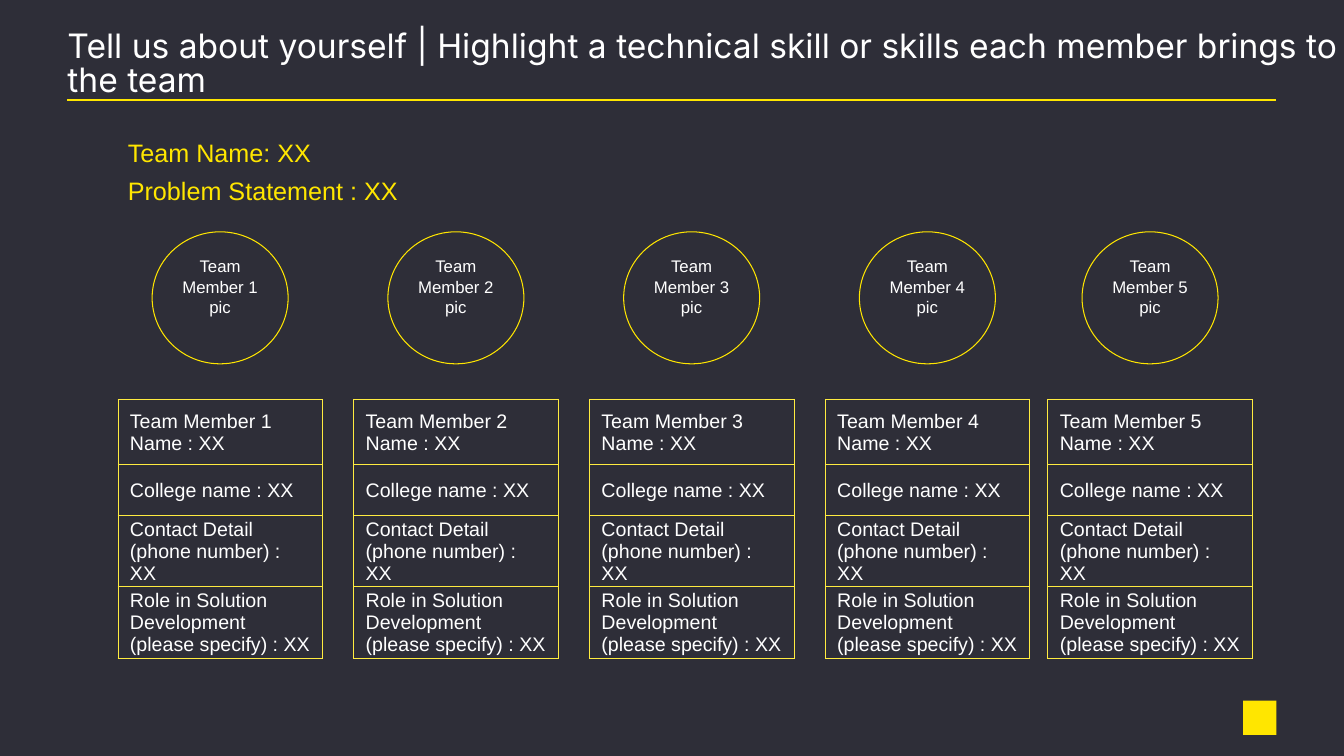
from lxml import etree
from pptx import Presentation
from pptx.dml.color import RGBColor
from pptx.enum.shapes import MSO_CONNECTOR, MSO_SHAPE
from pptx.enum.text import MSO_ANCHOR, PP_ALIGN
from pptx.oxml.ns import qn
from pptx.util import Inches, Pt

LINE = MSO_CONNECTOR.STRAIGHT
ELLIPSE, RECTANGLE = MSO_SHAPE.OVAL, MSO_SHAPE.RECTANGLE
TOP, MIDDLE = MSO_ANCHOR.TOP, MSO_ANCHOR.MIDDLE
LEFT, CENTER = PP_ALIGN.LEFT, PP_ALIGN.CENTER

DARK = RGBColor(0x2E, 0x2E, 0x38)
YELLOW = RGBColor(0xFF, 0xE6, 0x00)
GRID_YELLOW = RGBColor(0xFF, 0xEC, 0x40)
WHITE = RGBColor(0xFF, 0xFF, 0xFF)

COLUMN_LEFTS = [1.17, 3.51, 5.85, 8.19, 10.4]
ROW_HEIGHTS = [0.65, 0.5, 0.71, 0.71]
TABLE_WIDTH = 2.03
CIRCLE_WIDTH, CIRCLE_HEIGHT = 1.35, 1.31


def write(frame, text, size=14, color=WHITE, font="Arial", align=LEFT, spacing=None):
    frame.word_wrap = True
    paragraph = frame.paragraphs[0]
    paragraph.alignment = align
    if spacing:
        paragraph.line_spacing = spacing
    run = paragraph.add_run()
    run.text = text
    run.font.size = Pt(size)
    run.font.name = font
    run.font.color.rgb = color


def outline_cell(cell, color, width):
    properties = cell._tc.get_or_add_tcPr()
    for position, side in enumerate(("a:lnL", "a:lnR", "a:lnT", "a:lnB")):
        border = etree.Element(qn(side), w=str(Pt(width)))
        fill = etree.SubElement(border, qn("a:solidFill"))
        etree.SubElement(fill, qn("a:srgbClr"), val=str(color))
        properties.insert(position, border)


class TeamSlide:
    def __init__(self, presentation):
        self.slide = presentation.slides.add_slide(presentation.slide_layouts[6])
        self.shapes = self.slide.shapes
        background = self.slide.background.fill
        background.solid()
        background.fore_color.rgb = DARK

    def text(self, left, top, width, height, text, inset=None, anchor=TOP, **style):
        box = self.shapes.add_textbox(*map(Inches, (left, top, width, height)))
        frame = box.text_frame
        frame.vertical_anchor = anchor
        if inset is not None:
            frame.margin_left = frame.margin_right = Inches(inset)
            frame.margin_top = frame.margin_bottom = Inches(inset)
        write(frame, text, **style)

    def rule(self, left, right, y):
        rule = self.shapes.add_connector(LINE, *map(Inches, (left, y, right, y)))
        rule.line.color.rgb = YELLOW
        rule.line.width = Pt(1.5)
        etree.SubElement(rule._element.spPr, qn("a:effectLst"))

    def badge(self, left, top, width, height):
        badge = self.shapes.add_shape(RECTANGLE, *map(Inches, (left, top, width, height)))
        badge.shadow.inherit = False
        badge.fill.solid()
        badge.fill.fore_color.rgb = YELLOW
        badge.line.fill.background()

    def circle(self, left, top, text):
        circle = self.shapes.add_shape(
            ELLIPSE, Inches(left), Inches(top), Inches(CIRCLE_WIDTH), Inches(CIRCLE_HEIGHT))
        circle.shadow.inherit = False
        circle.fill.background()
        circle.line.color.rgb = YELLOW
        circle.line.width = Pt(0.75)
        frame = circle.text_frame
        frame.vertical_anchor = TOP
        frame.margin_left = frame.margin_right = Inches(0.08)
        write(frame, text, size=12, align=CENTER)

    def table(self, left, top, entries):
        table = self.shapes.add_table(
            len(entries), 1, Inches(left), Inches(top),
            Inches(TABLE_WIDTH), Inches(sum(ROW_HEIGHTS))).table
        table.first_row = table.horz_banding = False
        for row, height, entry in zip(table.rows, ROW_HEIGHTS, entries):
            row.height = Inches(height)
            cell = row.cells[0]
            cell.fill.background()
            cell.vertical_anchor = MIDDLE
            cell.margin_left = cell.margin_right = Inches(0.12)
            cell.margin_top, cell.margin_bottom = Inches(0.01), 0
            write(cell.text_frame, entry)
            outline_cell(cell, GRID_YELLOW, 0.5)


def main():
    presentation = Presentation()
    presentation.slide_width = Inches(13.34)
    presentation.slide_height = Inches(7.5)
    team = TeamSlide(presentation)

    team.badge(12.34, 6.95, 0.33, 0.34)
    team.rule(0.67, 12.67, 0.99)
    team.text(0.67, 0.32, 12.67, 0.65,
              "Tell us about yourself | Highlight a technical skill or skills "
              "each member brings to the team",
              inset=0, anchor=MIDDLE, size=24, font="Inter", spacing=0.85)
    for top, heading in ((1.31, "Team Name: XX"), (1.69, "Problem Statement : XX")):
        team.text(1.17, top, 6.67, 0.4, heading, size=18, color=YELLOW)

    for number, left in enumerate(COLUMN_LEFTS, start=1):
        member = f"Team Member {number}"
        team.table(left, 3.96, [
            f"{member} Name : XX",
            "College name : XX",
            "Contact Detail (phone number) : XX",
            "Role in Solution Development (please specify) : XX",
        ])
        team.circle(left + (TABLE_WIDTH - CIRCLE_WIDTH) / 2, 2.3, f"{member} pic")

    presentation.save("out.pptx")


if __name__ == "__main__":
    main()
